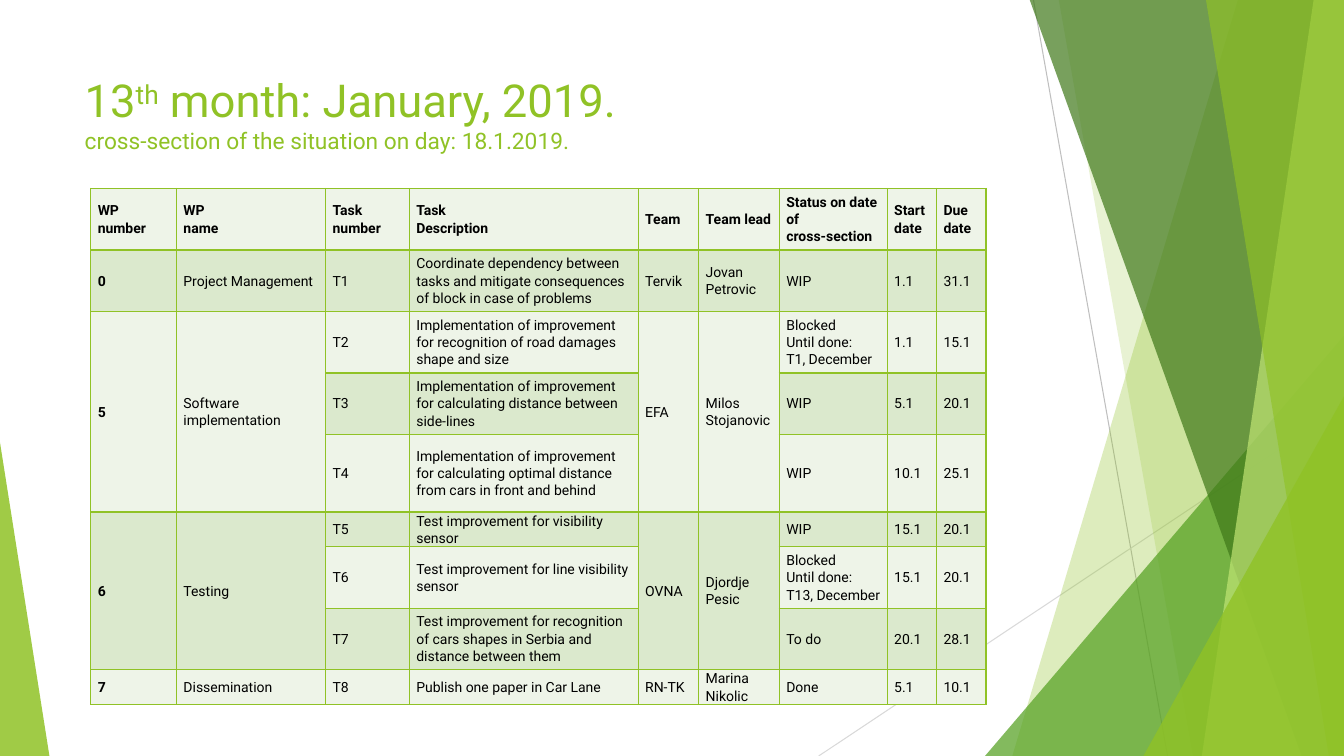
"""Build the monthly status slide with its task table."""
import pptx
import pptx.util
import pptx.dml.color
import pptx.enum.shapes
import pptx.enum.text
import pptx.oxml
import pptx.oxml.ns

WIDE, HIGH = 13.33, 7.5
GREEN, BLACK = "90C226", "000000"
BANDS = ("EEF4E8", "DBE9CD")
TITLE = [("13", 32.4, 0), ("th", 32.4, 30), (" month: January, 2019.", 32.4, 0), None,
         ("cross-section of the situation on day: 18.1.2019.", 16.2, 0)]
LINES = [((10.25, 0), (11.58, HIGH), "BFBFBF"), ((WIDE, 4.03), (8.12, HIGH), "D9D9D9")]
DECOR = [
    ("band", (12.28, 10.04), GREEN, 30),
    ("band", (10.5, 11.83), GREEN, 20),
    ("peak", (9.77, 3.33, WIDE, 1), "54A021", 72),
    ("band", (10.21, 12.91), "3F7819", 70),
    ("band", (13.03, 11.92), "C0E474", 70),
    ("band", (11.96, 13.18), GREEN, 65),
    ("peak", (11.34, 3.93, WIDE, 1), GREEN, 80),
    ("peak", (0, 4.39, 0.49, 0), GREEN, 85),
]
COLS = [0.85, 1.48, 0.83, 2.27, 0.6, 0.8, 1.07, 0.49, 0.49]
ROWS = [0.61] * 4 + [0.77, 0.31, 0.61, 0.61, 0.31]
TASKS = [
    ("WP\nnumber", "WP\nname", "Task\nnumber", "Task\nDescription", "Team", "Team lead",
     "Status on date of\ncross-section", "Start date", "Due date"),
    ("0", "Project Management", "T1",
     "Coordinate dependency between tasks and mitigate consequences of block in case of problems",
     "Tervik", "Jovan\nPetrovic", "WIP", "1.1", "31.1"),
    ("5", "Software implementation", "T2",
     "Implementation of improvement for recognition of road damages shape and size",
     "EFA", "Milos\nStojanovic", "Blocked\nUntil done:\nT1, December", "1.1", "15.1"),
    (None, None, "T3", "Implementation of improvement for calculating distance between side-lines",
     None, None, "WIP", "5.1", "20.1"),
    (None, None, "T4",
     "Implementation of improvement for calculating optimal distance from cars in front and behind",
     None, None, "WIP", "10.1", "25.1"),
    ("6", "Testing", "T5", "Test improvement for visibility sensor",
     "OVNA", "Djordje\nPesic", "WIP", "15.1", "20.1"),
    (None, None, "T6", "Test improvement for line visibility sensor",
     None, None, "Blocked\nUntil done:\nT13, December", "15.1", "20.1"),
    (None, None, "T7",
     "Test improvement for recognition of cars shapes in Serbia and distance between them",
     None, None, "To do", "20.1", "28.1"),
    ("7", "Dissemination", "T8", "Publish one paper in Car Lane",
     "RN-TK", "Marina\nNikolic", "Done", "5.1", "10.1"),
]
SPANS = [(top, col) for top in (2, 5) for col in (0, 1, 4, 5)]
inch, pt = pptx.util.Inches, pptx.util.Pt


def paint(hue):
    return pptx.dml.color.RGBColor.from_string(hue)


def write(par, text, size=10, hue=BLACK, bold=False, base=0):
    run = par.add_run()
    run.text = text
    font = run.font
    font.name, font.size, font.bold = "Roboto", pt(size), bold
    font.color.rgb = paint(hue)
    if base:
        run._r.get_or_add_rPr().set("baseline", str(base * 1000))


def node(tag, body="", attrs=""):
    space = pptx.oxml.ns.nsdecls("a")
    return pptx.oxml.parse_xml(f"<a:{tag} {space} {attrs}>{body}</a:{tag}>")


def draw_line(start, end, hue):
    line = shapes.add_connector(pptx.enum.shapes.MSO_CONNECTOR.STRAIGHT,
                                *map(inch, start + end))
    line.line.color.rgb = paint(hue)
    line.line.width = pt(0.75)
    line._element.spPr.append(node("effectLst"))


def draw_part(kind, where, hue, alpha):
    if kind == "band":
        top, foot = where
        pen = shapes.build_freeform(inch(top), inch(-0.01))
        pen.add_line_segments([(inch(x), inch(y)) for x, y in
                               ((WIDE, -0.01), (WIDE, HIGH), (foot, HIGH))])
        part = pen.convert_to_shape()
    else:
        left, top, right, tip = where
        part = shapes.add_shape(pptx.enum.shapes.MSO_SHAPE.ISOSCELES_TRIANGLE,
                                *map(inch, (left, top, right - left, HIGH - top)))
        part.adjustments[0] = tip
    part.shadow.inherit = False
    part.line.fill.background()
    part.fill.solid()
    part.fill.fore_color.rgb = paint(hue)
    tint = part._element.spPr.find(".//" + pptx.oxml.ns.qn("a:srgbClr"))
    tint.append(node("alpha", attrs=f'val="{alpha * 1000}"'))


def fill_cell(cell, text, band, bold):
    cell.margin_left = cell.margin_right = inch(0.07)
    cell.margin_top = cell.margin_bottom = 0
    cell.vertical_anchor = pptx.enum.text.MSO_ANCHOR.MIDDLE
    props = cell._tc.get_or_add_tcPr()
    for side in ("lnL", "lnR", "lnT", "lnB"):
        props.append(node(side, f'<a:solidFill><a:srgbClr val="{GREEN}"/></a:solidFill>',
                          'w="12700"'))
    cell.fill.solid()
    cell.fill.fore_color.rgb = paint(band)
    if text is None:
        return
    frame = cell.text_frame
    for num, line in enumerate(text.split("\n")):
        par = frame.add_paragraph() if num else frame.paragraphs[0]
        par.line_spacing = 1.07
        write(par, line, bold=bold)


deck = pptx.Presentation()
deck.slide_width, deck.slide_height = inch(WIDE), inch(HIGH)
slide = deck.slides.add_slide(deck.slide_layouts[5])
shapes = slide.shapes

for line in LINES:
    draw_line(*line)
for part in DECOR:
    draw_part(*part)

title = shapes.title
title.left, title.top, title.width, title.height = map(inch, (0.74, 0.67, 9.4, 1.44))
frame = title.text_frame
frame.word_wrap = True
frame.auto_size = pptx.enum.text.MSO_AUTO_SIZE.NONE
frame.vertical_anchor = pptx.enum.text.MSO_ANCHOR.TOP
head = frame.paragraphs[0]
head.alignment = pptx.enum.text.PP_ALIGN.LEFT
for item in TITLE:
    if item is None:
        head.add_line_break()
    else:
        text, size, base = item
        write(head, text, size=size, hue=GREEN, base=base)

table = shapes.add_table(len(ROWS), len(COLS), inch(0.9), inch(1.87),
                         inch(sum(COLS)), inch(sum(ROWS))).table
table.horz_banding = False
for col, width in zip(table.columns, COLS):
    col.width = inch(width)
for row, height in zip(table.rows, ROWS):
    row.height = inch(height)
for r, task in enumerate(TASKS):
    for c, text in enumerate(task):
        fill_cell(table.cell(r, c), text, BANDS[r % 2], r == 0 or c == 0)
for top, col in SPANS:
    table.cell(top, col).merge(table.cell(top + 2, col))

deck.save("out.pptx")
